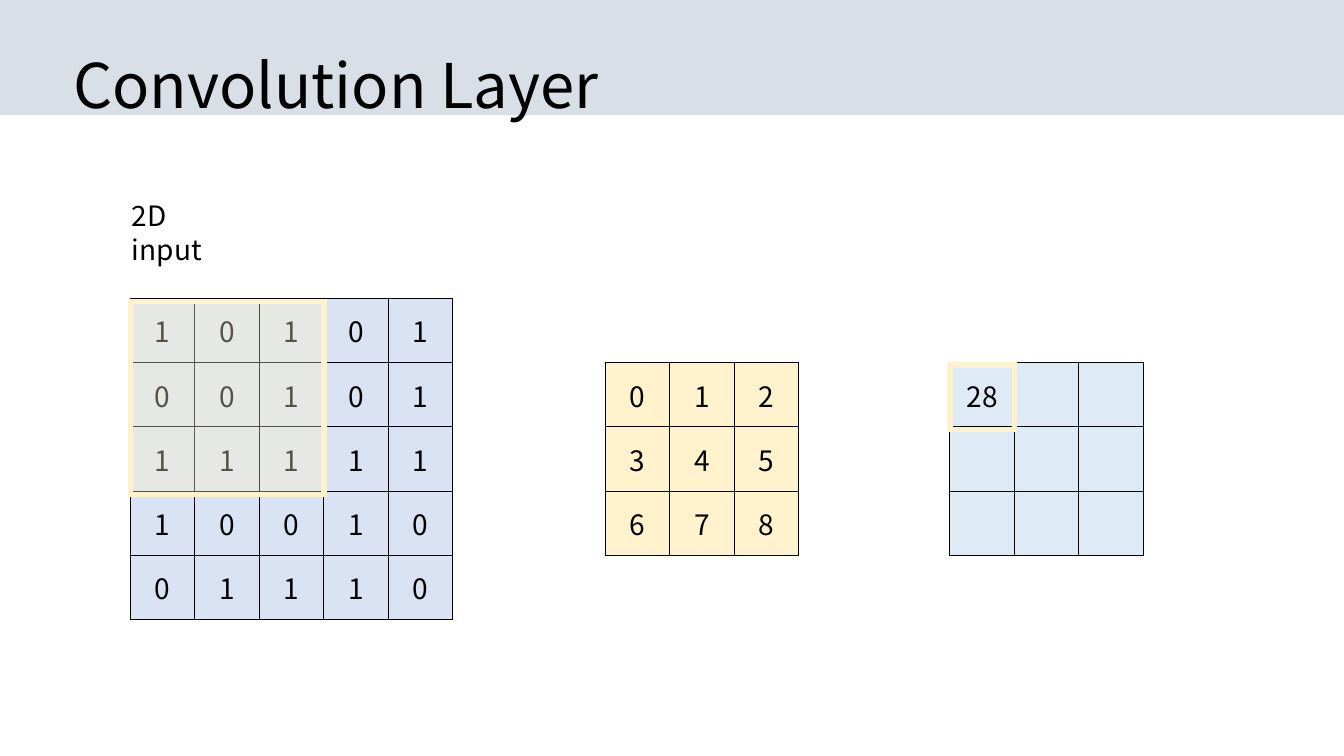
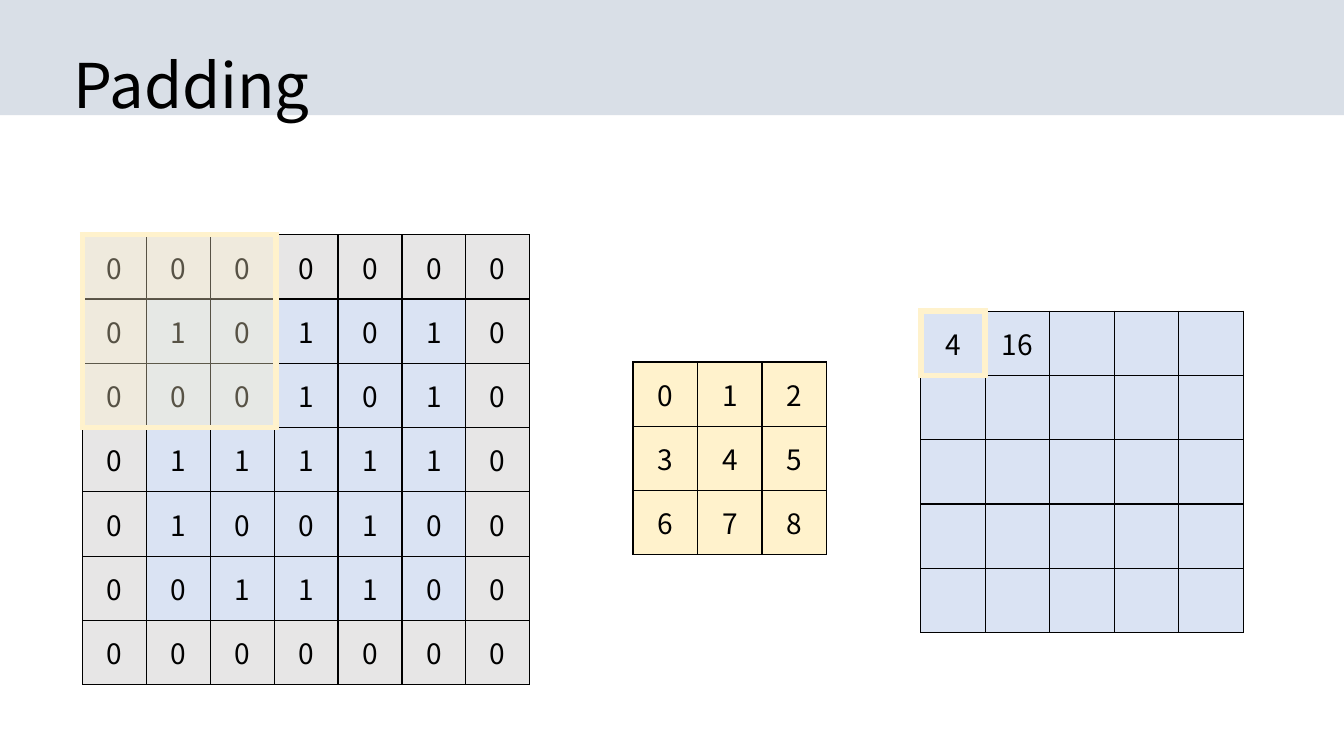
import lxml.etree
import pptx
import pptx.dml.color
import pptx.enum.shapes
import pptx.enum.text
import pptx.oxml.ns
import pptx.util

FONT = "Noto Sans CJK KR"
COLORS = {"band": "002C62", "text": "000000", "line": "000000", "input": "DAE3F3",
          "kernel": "FFF2CC", "output": "DEEBF7", "padding": "E7E6E6"}
COL = pptx.util.Inches(0.64)
ROW = pptx.util.Cm(1.62)
NO_STYLE = "{2D5ABB26-0587-4C30-8999-92F81FD0307C}"
INPUT = ["10101", "00101", "11111", "10010", "01110"]
PADDED_INPUT = ["0000000", "0101010", "0001010", "0111110", "0100100", "0011100", "0000000"]
KERNEL = ["012", "345", "678"]


def rgb(name):
    return pptx.dml.color.RGBColor.from_string(COLORS[name])


def sub(parent, tag, **attrs):
    return lxml.etree.SubElement(parent, pptx.oxml.ns.qn(tag), attrs)


def paint(fill, color, opacity=100):
    fill.solid()
    fill.fore_color.rgb = rgb(color)
    if opacity < 100:
        # The colour element carries the transparency
        for clr in fill._xPr.iter(pptx.oxml.ns.qn("a:srgbClr")):
            sub(clr, "a:alpha", val=str(opacity * 1000))


def write(tf, text, size=20, align=None, spacing=None):
    p = tf.paragraphs[0]
    p.alignment = align
    p.line_spacing = spacing
    r = p.add_run()
    r.text = text
    r.font.size = pptx.util.Pt(size)
    r.font.name = FONT
    r.font.color.rgb = rgb("text")
    sub(r.font._rPr, "a:ea", typeface=FONT)


def border(cell, sides, color, width):
    """Draw the named sides (from "LRTB"); call before the cell is filled."""
    tcPr = cell._tc.get_or_add_tcPr()
    for side in sides:
        ln = sub(tcPr, f"a:ln{side}", w=str(pptx.util.Pt(width)))
        sub(sub(ln, "a:solidFill"), "a:srgbClr", val=COLORS[color])


class Deck:
    """Places elements on the current slide, in columns and rows of the grid."""

    def __init__(self):
        self.prs = pptx.Presentation()
        self.prs.slide_width = pptx.util.Inches(13.33)
        self.prs.slide_height = pptx.util.Inches(7.5)
        self.s = None

    def box(self, x, y, w, h):
        return [int(v) for v in (x * COL, y * ROW, w * COL, h * ROW)]

    def slide(self, title):
        self.s = self.prs.slides.add_slide(self.prs.slide_layouts[5])
        sp = self.s.shapes.title
        sp.left, sp.top, sp.width, sp.height = self.box(0.98, 0.25, 17.97, 2.27)
        tf = sp.text_frame
        tf.vertical_anchor = pptx.enum.text.MSO_ANCHOR.MIDDLE
        write(tf, title, size=44, align=pptx.enum.text.PP_ALIGN.LEFT, spacing=0.9)
        self.band()

    def band(self):
        sp = self.s.shapes.add_shape(pptx.enum.shapes.MSO_SHAPE.RECTANGLE, 0, 0,
                                     self.prs.slide_width, int(1.79 * ROW))
        sp.shadow.inherit = False
        sp.line.fill.background()
        paint(sp.fill, "band", opacity=15)
        self.s.shapes.title._element.addprevious(sp._element)

    def label(self, x, y, w, h, text):
        tf = self.s.shapes.add_textbox(*self.box(x, y, w, h)).text_frame
        tf.word_wrap = True
        write(tf, text)

    def table(self, x, y, cols, rows, col_width=1, row_height=1):
        size = self.box(x, y, cols * col_width, rows * row_height)
        frame = self.s.shapes.add_table(rows, cols, *size)
        table = frame.table
        table.first_row = table.horz_banding = False
        table._tbl.tblPr.find(pptx.oxml.ns.qn("a:tableStyleId")).text = NO_STYLE
        return table

    def matrix(self, x, y, values, color, col_width=1, edge=None):
        """Table of values; edge is the colour of the outermost ring of cells."""
        rows, cols = len(values), len(values[0])
        table = self.table(x, y, cols, rows, col_width)
        for i, row in enumerate(values):
            for j, value in enumerate(row):
                cell = table.cell(i, j)
                cell.vertical_anchor = pptx.enum.text.MSO_ANCHOR.MIDDLE
                border(cell, "LRTB", "line", 1)
                on_edge = i in (0, rows - 1) or j in (0, cols - 1)
                paint(cell.fill, edge if edge and on_edge else color)
                if value:
                    write(cell.text_frame, value, align=pptx.enum.text.PP_ALIGN.CENTER)

    def window(self, x, y, cell_size=1, opacity=0):
        """Three by three table with a thick outer border only."""
        table = self.table(x, y, 3, 3, cell_size, cell_size)
        for i in range(3):
            for j in range(3):
                cell = table.cell(i, j)
                cell.margin_left = cell.margin_right = 0
                cell.margin_top = cell.margin_bottom = 0
                sub(cell.text_frame.paragraphs[0]._p, "a:endParaRPr", sz="100")
                outer = {"L": j == 0, "R": j == 2, "T": i == 0, "B": i == 2}
                border(cell, [side for side in outer if outer[side]], "kernel", 4.5)
                if opacity:
                    paint(cell.fill, "kernel", opacity)


def results(size, *known):
    """Square of empty values whose first row starts with the known ones."""
    first = list(known) + [""] * (size - len(known))
    return [first] + [[""] * size for _ in range(size - 1)]


def main():
    deck = Deck()

    deck.slide("Convolution Layer")
    deck.label(1.89, 3.01, 1.75, 0.69, "2D input")
    deck.matrix(2.02, 4.64, INPUT, "input")
    deck.matrix(9.38, 5.64, KERNEL, "kernel")
    deck.matrix(14.72, 5.64, results(3, "28"), "output")
    deck.window(2.02, 4.69, opacity=34)
    deck.window(14.72, 5.68, cell_size=1 / 3)

    deck.slide("Padding")
    deck.matrix(1.28, 3.65, PADDED_INPUT, "input", col_width=0.99, edge="padding")
    deck.matrix(9.81, 5.63, KERNEL, "kernel")
    deck.matrix(14.27, 4.84, results(5, "4", "16"), "input")
    deck.window(14.27, 4.84, cell_size=1 / 3)
    deck.window(1.28, 3.65, opacity=34)

    deck.prs.save("out.pptx")


if __name__ == "__main__":
    main()
